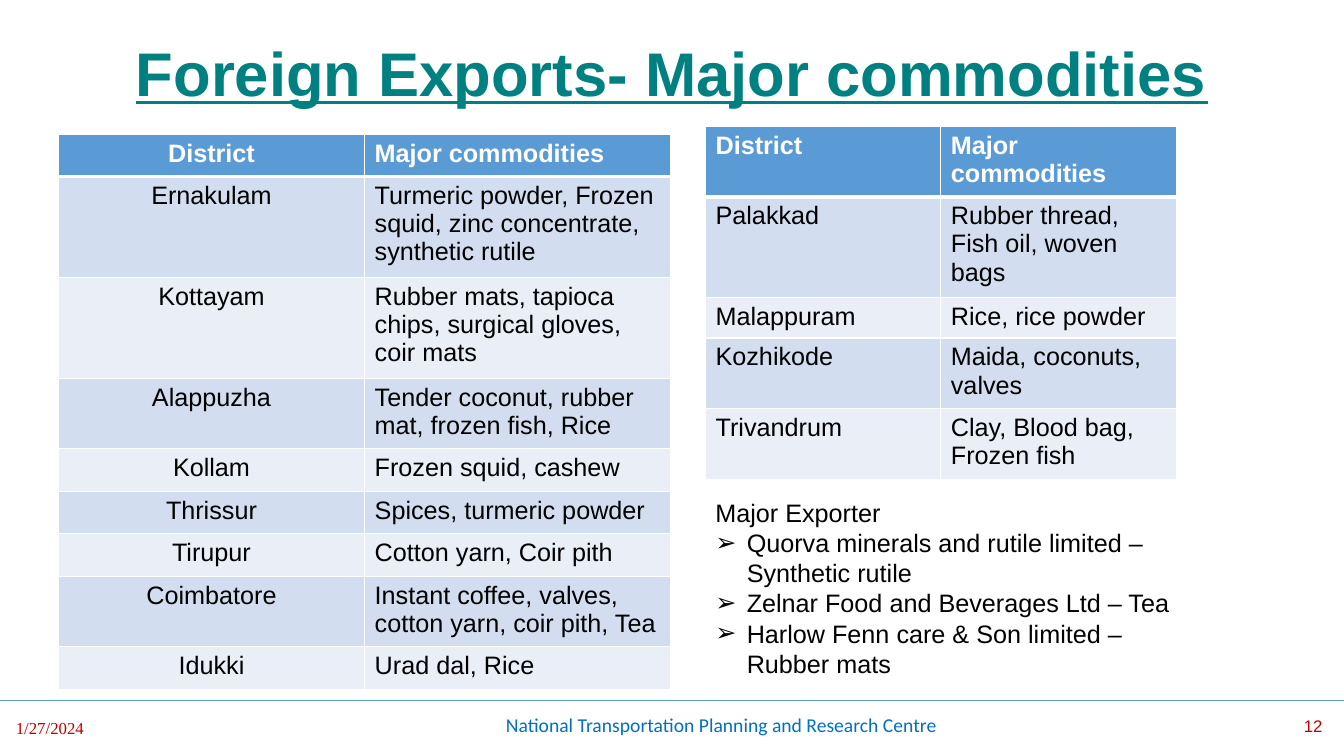
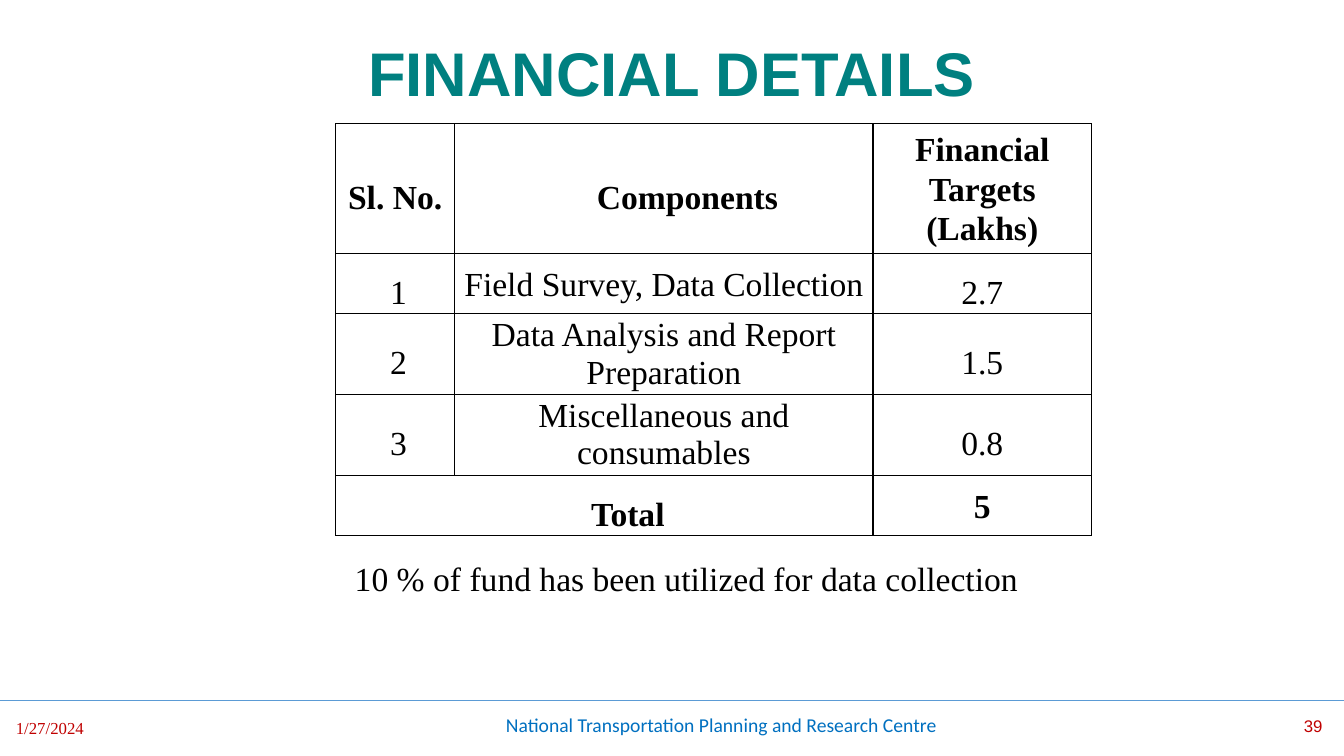
from lxml.etree import SubElement
from pptx import Presentation
from pptx.dml.color import RGBColor
from pptx.enum.shapes import MSO_CONNECTOR as Connector
from pptx.enum.text import MSO_ANCHOR as Anchor, PP_ALIGN as Align
from pptx.oxml.ns import qn
from pptx.util import Cm, Pt

COLORS = {
    "title": "008080",
    "accent": "5B9BD5",
    "band_dark": "D2DEEF",
    "band_light": "EAEFF7",
    "footer": "0070C0",
    "marker": "C00000",
    "white": "FFFFFF",
    "black": "000000",
}
SANS, SERIF, FOOTER_FONT = "Arial", "Times New Roman", "Calibri"
SLIDE_WIDTH, SLIDE_HEIGHT = Cm(33.87), Cm(19.05)

EAST_DISTRICTS = [
    ("District", "Major commodities"),
    ("Ernakulam", "Turmeric powder, Frozen squid, zinc concentrate, synthetic rutile"),
    ("Kottayam", "Rubber mats, tapioca chips, surgical gloves, coir mats"),
    ("Alappuzha", "Tender coconut, rubber mat, frozen fish, Rice"),
    ("Kollam", "Frozen squid, cashew"),
    ("Thrissur", "Spices, turmeric powder"),
    ("Tirupur", "Cotton yarn, Coir pith"),
    ("Coimbatore", "Instant coffee, valves, cotton yarn, coir pith, Tea"),
    ("Idukki", "Urad dal, Rice"),
]
OTHER_DISTRICTS = [
    ("District", "Major commodities"),
    ("Palakkad", "Rubber thread, Fish oil, woven bags"),
    ("Malappuram", "Rice, rice powder"),
    ("Kozhikode", "Maida, coconuts, valves"),
    ("Trivandrum", "Clay, Blood bag, Frozen fish"),
]
EXPORTERS = [
    "Quorva minerals and rutile limited –Synthetic rutile",
    "Zelnar Food and Beverages Ltd – Tea",
    "Harlow Fenn care & Son limited – Rubber mats",
]
FINANCES = [
    ("Sl. No.", "Components", "Financial Targets (Lakhs)"),
    ("1", "Field Survey, Data Collection", "2.7"),
    ("2", "Data Analysis and Report Preparation", "1.5"),
    ("3", "Miscellaneous and consumables", "0.8"),
    ("Total", "", "5"),
]


def color(name):
    return RGBColor.from_string(COLORS[name])


def add_run(paragraph, text, size, font=SANS, ink="black", bold=False, underline=False):
    run = paragraph.add_run()
    run.text = text
    run.font.size = Pt(size)
    run.font.name = font
    run.font.bold = bold
    run.font.underline = underline
    run.font.color.rgb = color(ink)


def set_indent(paragraph, left, first):
    properties = paragraph._p.get_or_add_pPr()
    properties.set("marL", str(Cm(left)))
    properties.set("indent", str(Cm(first)))
    return properties


def add_bullet(paragraph):
    properties = set_indent(paragraph, 0.79, -0.79)
    SubElement(properties, qn("a:buFont"), typeface=SANS)
    SubElement(properties, qn("a:buChar"), char="➢")


def add_text(slide, left, top, width, height, text, size, align=Align.LEFT, **style):
    shape = slide.shapes.add_textbox(Cm(left), Cm(top), Cm(width), Cm(height))
    frame = shape.text_frame
    frame.word_wrap = True
    paragraph = frame.paragraphs[0]
    paragraph.alignment = align
    add_run(paragraph, text, size, **style)
    return frame


def add_title(slide, text, underline=False):
    frame = add_text(slide, 2.33, 0.08, 29.21, 3.68, text, 44, Align.CENTER,
                     ink="title", bold=True, underline=underline)
    frame.vertical_anchor = Anchor.MIDDLE
    frame.paragraphs[0].line_spacing = 0.9


def add_footer(slide, number):
    add_text(slide, 0.15, 17.96, 3.48, 1.02, "1/27/2024", 12, font=SERIF, ink="marker")
    add_text(slide, 25.96, 17.91, 7.62, 1.02, number, 12, Align.RIGHT, ink="marker")
    add_text(slide, 12.5, 17.83, 15.04, 1.02,
             "National Transportation Planning and Research Centre", 14,
             font=FOOTER_FONT, ink="footer")
    rule = slide.shapes.add_connector(Connector.STRAIGHT, 0, Cm(17.65), SLIDE_WIDTH, Cm(17.65))
    rule.line.color.rgb = color("accent")
    rule.line.width = Pt(0.5)
    SubElement(rule._element.spPr, qn("a:effectLst"))


def set_borders(cell, ink, bottom=1):
    properties = cell._tc.get_or_add_tcPr()
    for side, width in (("L", 1), ("R", 1), ("T", 1), ("B", bottom)):
        line = SubElement(properties, qn(f"a:ln{side}"), w=str(Pt(width)))
        fill = SubElement(line, qn("a:solidFill"))
        SubElement(fill, qn("a:srgbClr"), val=COLORS[ink])


def add_table(slide, left, top, widths, heights):
    frame = slide.shapes.add_table(len(heights), len(widths), Cm(left), Cm(top),
                                   Cm(sum(widths)), Cm(sum(heights)))
    table = frame.table
    table.first_row = False
    table.horz_banding = False
    for column, width in zip(table.columns, widths):
        column.width = Cm(width)
    for row, height in zip(table.rows, heights):
        row.height = Cm(height)
    return table


def add_commodity_table(slide, left, top, width, heights, rows, district_align):
    table = add_table(slide, left, top, [width] * 2, heights)
    for row, texts in enumerate(rows):
        header = row == 0
        band = "accent" if header else ("band_light", "band_dark")[row % 2]
        for column, text in enumerate(texts):
            cell = table.cell(row, column)
            set_borders(cell, "white", 3 if row == 0 else 1)
            cell.fill.solid()
            cell.fill.fore_color.rgb = color(band)
            paragraph = cell.text_frame.paragraphs[0]
            paragraph.alignment = Align.LEFT if column else district_align
            add_run(paragraph, text, 18, ink="white" if header else "black", bold=header)


def add_finance_table(slide, left, top, widths, heights, rows):
    table = add_table(slide, left, top, widths, heights)
    last = len(rows) - 1
    table.cell(last, 0).merge(table.cell(last, 1))
    indented = {(0, 1)} | {(row, 0) for row in range(1, last + 1)}
    spacings = {(0, 2): 1.07, (1, 1): 1.07, (2, 1): 1, (3, 1): 1, (last, 2): 1.07}
    for row, texts in enumerate(rows):
        for column, text in enumerate(texts):
            cell = table.cell(row, column)
            set_borders(cell, "black")
            cell.fill.background()
            cell.vertical_anchor = Anchor.MIDDLE
            cell.margin_left = cell.margin_right = Cm(0.18)
            cell.margin_top = cell.margin_bottom = 0
            if cell.is_spanned:
                continue
            paragraph = cell.text_frame.paragraphs[0]
            numbered = column == 0 and 0 < row < last
            paragraph.alignment = Align.LEFT if numbered else Align.CENTER
            paragraph.line_spacing = spacings.get((row, column), 1.5)
            if row == 0 and column != 1:
                paragraph.space_after = Pt(8)
            if (row, column) in indented:
                set_indent(paragraph, 1.83, -0.64)
            add_run(paragraph, text, 24, font=SERIF, bold=row in (0, last))


def add_exporters(slide):
    frame = add_text(slide, 17.78, 12.4, 12.9, 5.64, "Major Exporter", 18)
    for exporter in EXPORTERS:
        paragraph = frame.add_paragraph()
        add_bullet(paragraph)
        add_run(paragraph, exporter, 18)


def add_slide(presentation, title, number, underline=False):
    slide = presentation.slides.add_slide(presentation.slide_layouts[6])
    add_title(slide, title, underline)
    add_footer(slide, number)
    return slide


def main():
    presentation = Presentation()
    presentation.slide_width = SLIDE_WIDTH
    presentation.slide_height = SLIDE_HEIGHT

    exports = add_slide(presentation, "Foreign Exports- Major commodities", "12", underline=True)
    add_commodity_table(exports, 1.47, 3.38, 7.72,
                        [1.07, 2.39, 2.39, 1.68, 1.07, 1.07, 1.07, 1.68, 1.07],
                        EAST_DISTRICTS, Align.CENTER)
    add_commodity_table(exports, 17.78, 3.18, 5.93, [1.68, 2.39, 0.97, 1.68, 1.68],
                        OTHER_DISTRICTS, Align.LEFT)
    add_exporters(exports)

    finances = add_slide(presentation, "FINANCIAL DETAILS", "39")
    add_finance_table(finances, 8.46, 3.12, [3, 10.54, 5.51],
                      [3, 1.45, 1.98, 1.98, 1.4], FINANCES)
    add_text(finances, 8.69, 13.94, 18.62, 1.27,
             "10 % of fund has been utilized for data collection", 24, font=SERIF)

    presentation.save("out.pptx")


if __name__ == "__main__":
    main()
